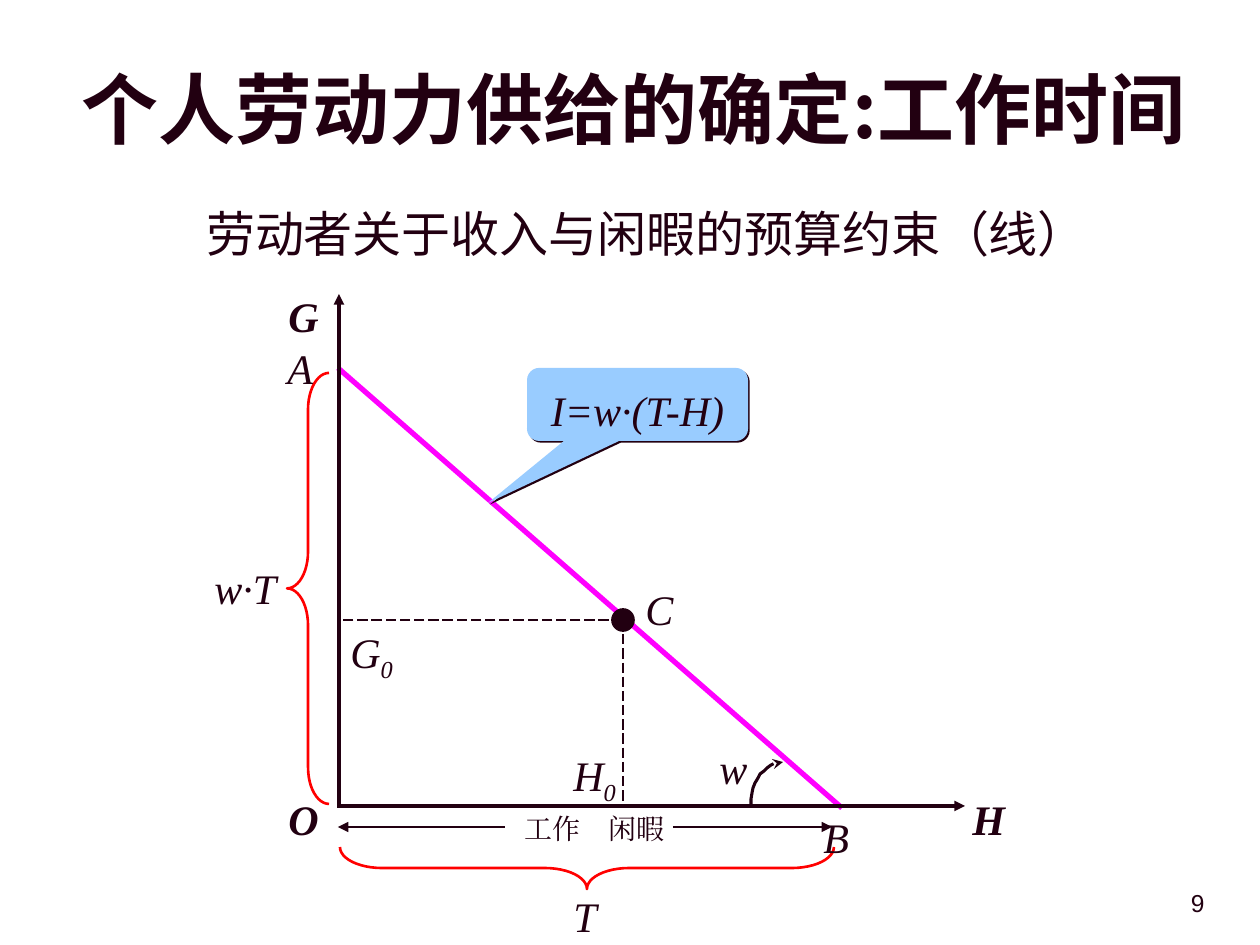
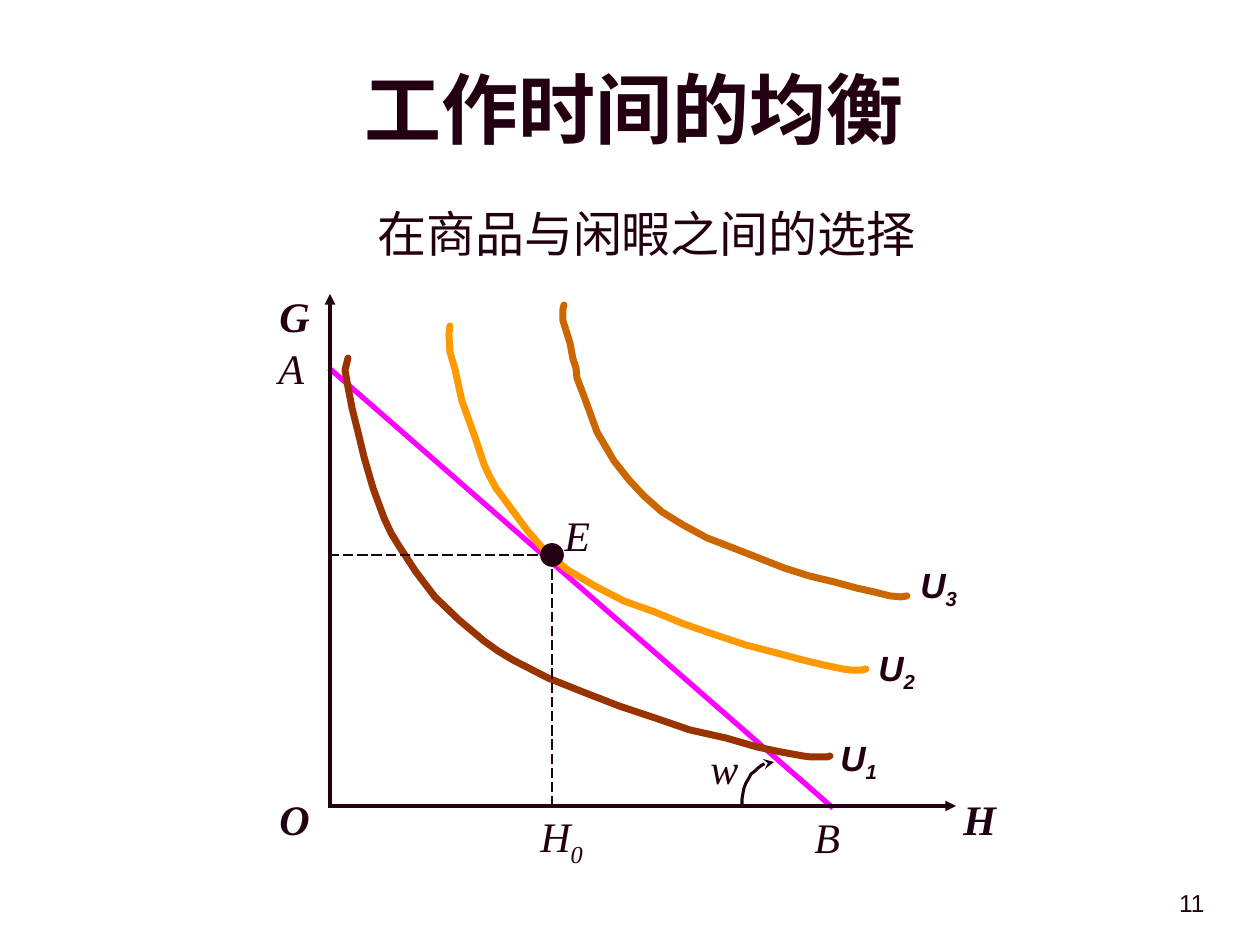
"""Build two slides on individual labour supply: budget line and equilibrium."""
import dataclasses
import math

import pptx
import pptx.dml.color
import pptx.enum.dml
import pptx.enum.shapes
import pptx.enum.text
import pptx.oxml
import pptx.oxml.ns
import pptx.oxml.xmlchemy
import pptx.util

EMU_PER_PX = 914400 / 126
ALIGN = pptx.enum.text.PP_ALIGN
ANCHOR = pptx.enum.text.MSO_ANCHOR
AUTO_SIZE = pptx.enum.text.MSO_AUTO_SIZE
SHAPE = pptx.enum.shapes.MSO_SHAPE


@dataclasses.dataclass(frozen=True)
class Theme:
    ink: str = "220011"
    budget: str = "FF00FF"
    brace: str = "FF0000"
    callout: str = "99CCFF"
    utility: tuple = ("993300", "FF9900", "CC6600")
    heading_font: str = "Noto Sans CJK SC"
    symbol_font: str = "Times New Roman"
    plain_font: str = "Arial"
    title_size: int = 44
    subtitle_size: int = 28
    symbol_size: int = 24
    utility_size: int = 20
    caption_size: int = 16
    page_size: int = 14


UTILITY_CURVES = (
    [(348, 358), (345, 370), (348, 387), (352, 408), (358, 432), (364, 457), (373, 488),
     (384, 518), (391, 533), (399, 546), (416, 572), (435, 597), (459, 620), (484, 641),
     (498, 651), (513, 660), (548, 678), (583, 692), (619, 706), (655, 718), (690, 730),
     (726, 738), (757, 747), (781, 752), (803, 756), (811, 757), (827, 757), (830, 756)],
    [(450, 326), (449, 334), (450, 352), (455, 369), (462, 401), (475, 437), (484, 464),
     (489, 475), (496, 488), (527, 530), (546, 552), (568, 570), (595, 586), (624, 601),
     (655, 612), (684, 624), (716, 635), (746, 645), (777, 653), (803, 660), (824, 665),
     (843, 669), (851, 670), (862, 670), (866, 669)],
    [(564, 305), (563, 309), (563, 321), (570, 343), (573, 359), (576, 368), (577, 378),
     (585, 399), (597, 432), (614, 461), (629, 480), (644, 496), (662, 512), (683, 525),
     (707, 538), (733, 548), (784, 568), (809, 576), (834, 582), (856, 588), (874, 592),
     (890, 596), (901, 597), (907, 596)],
)
UTILITY_LABELS = ((828, 730), (866, 640), (908, 557))


def px(length):
    """Turn a length in px into EMU."""
    return pptx.util.Emu(round(length * EMU_PER_PX))


def rgb(color):
    """Turn a hex string into a colour."""
    return pptx.dml.color.RGBColor.from_string(color)


def add_element(parent, tag, **attributes):
    """Append an XML element with attributes and return it."""
    element = pptx.oxml.xmlchemy.OxmlElement(tag)
    for name, value in attributes.items():
        element.set(name, str(value))
    parent.append(element)
    return element


def write_text(frame, text, subscript="", *, font, size, color, bold=False, italic=False,
               align=ALIGN.LEFT, spacing=None):
    """Write one formatted paragraph, with an optional subscript, into a frame."""
    paragraph = frame.paragraphs[0]
    paragraph.alignment = align
    if spacing:
        paragraph.line_spacing = spacing
    for part in filter(None, (text, subscript)):
        run = paragraph.add_run()
        run.text = part
        run.font.size = pptx.util.Pt(size)
        run.font.bold = bold
        run.font.italic = italic
        run.font.color.rgb = rgb(color)
        run.font.name = font
        properties = run._r.get_or_add_rPr()
        add_element(properties, "a:ea", typeface=font)
        if part is subscript:
            properties.set("baseline", "-25000")
    return paragraph


class Deck:
    """Hold the theme and the current slide, and draw each kind of element."""

    def __init__(self, presentation, theme):
        self.presentation = presentation
        self.theme = theme
        self.slide = None

    def start_slide(self, title, subtitle, number):
        """Add a slide with its title, subtitle and page number."""
        theme = self.theme
        self.slide = self.presentation.slides.add_slide(self.presentation.slide_layouts[1])
        heading, body = self.slide.placeholders
        self.place(heading, 67, 40, 1134, 136)
        heading.text_frame.vertical_anchor = ANCHOR.MIDDLE
        write_text(heading.text_frame, title, font=theme.heading_font, size=theme.title_size,
                   color=theme.ink, bold=True, align=ALIGN.CENTER)
        self.place(body, 116, 197, 1029, 630)
        paragraph = write_text(body.text_frame, subtitle, font=theme.heading_font,
                               size=theme.subtitle_size, color=theme.ink, align=ALIGN.CENTER)
        paragraph.level = 1
        paragraph.space_before = pptx.util.Pt(0)
        properties = paragraph._p.get_or_add_pPr()
        properties.set("marL", str(px(98)))
        properties.set("indent", str(px(-66)))
        add_element(properties, "a:buNone")
        self.text(number, 955, 882, 262, 63, font=theme.plain_font, size=theme.page_size,
                  align=ALIGN.RIGHT)

    def place(self, shape, left, top, width, height):
        """Move a placeholder and keep its text size fixed."""
        shape.left, shape.top, shape.width, shape.height = map(px, (left, top, width, height))
        shape.text_frame.word_wrap = True
        shape.text_frame.auto_size = AUTO_SIZE.NONE

    def text(self, text, left, top, width, height, subscript="", wrap=True, **text_format):
        """Add a text box."""
        box = self.slide.shapes.add_textbox(*map(px, (left, top, width, height)))
        box.text_frame.word_wrap = wrap
        if not wrap:
            box.text_frame.auto_size = AUTO_SIZE.SHAPE_TO_FIT_TEXT
        write_text(box.text_frame, text, subscript, color=self.theme.ink, **text_format)

    def symbol(self, text, left, top, width=63, height=63, subscript="", wrap=True, **changes):
        """Add an italic variable name."""
        text_format = dict(font=self.theme.symbol_font, size=self.theme.symbol_size, italic=True)
        self.text(text, left, top, width, height, subscript, wrap, **(text_format | changes))

    def point_label(self, text, left, top, width=50):
        """Add the name of a point or a length."""
        self.symbol(text, left, top, width, 73, wrap=False, spacing=1.2)

    def outline(self, shape, color, width, dash=None, arrow=None, cap=None):
        """Set the line of a shape or connector."""
        shape.line.color.rgb = rgb(color)
        shape.line.width = pptx.util.Pt(width)
        if dash:
            shape.line.dash_style = dash
        line = shape._element.spPr.find(pptx.oxml.ns.qn("a:ln"))
        if cap:
            line.set("cap", cap)
        if arrow:
            add_element(line, "a:tailEnd", type=arrow)

    def line(self, start, end, width, color=None, dash=None, arrow=None):
        """Add a straight line, with an arrowhead at its end if asked."""
        connector = self.slide.shapes.add_connector(
            pptx.enum.shapes.MSO_CONNECTOR.STRAIGHT, *map(px, (*start, *end)))
        self.outline(connector, color or self.theme.ink, width, dash, arrow)
        add_element(connector._element.spPr, "a:effectLst")

    def guides(self, x, y, axis_x):
        """Add dashed lines from a point to both axes."""
        dash = pptx.enum.dml.MSO_LINE.LONG_DASH
        self.line((x, y), (x, 806), 0.75, dash=dash)
        self.line((x, y), (axis_x, y), 0.75, dash=dash)

    def curve(self, points, color, width, **line_format):
        """Add an open curve through points."""
        builder = self.slide.shapes.build_freeform(*points[0], scale=EMU_PER_PX)
        builder.add_line_segments(points[1:], close=False)
        shape = builder.convert_to_shape()
        shape.shadow.inherit = False
        shape.fill.background()
        self.outline(shape, color, width, **line_format)

    def shape(self, kind, left, top, width, height, fill=None, adjustments=()):
        """Add a preset shape without shadow or line."""
        shape = self.slide.shapes.add_shape(kind, *map(px, (left, top, width, height)))
        shape.shadow.inherit = False
        shape.line.fill.background()
        if fill:
            shape.fill.solid()
            shape.fill.fore_color.rgb = rgb(fill)
        else:
            shape.fill.background()
        for index, value in enumerate(adjustments):
            shape.adjustments[index] = value
        return shape

    def dot(self, x, y):
        """Add a round point centred at a place."""
        shape = self.shape(SHAPE.OVAL, x - 11, y - 11, 22, 22, self.theme.ink)
        self.outline(shape, self.theme.ink, 1)

    def brace(self, left, top, width, height, bend, rotation=0):
        """Add a curly brace."""
        shape = self.shape(SHAPE.LEFT_BRACE, left, top, width, height, adjustments=(bend, 0.5))
        shape.rotation = rotation
        self.outline(shape, self.theme.brace, 1.5)

    def callout(self, text, left, top, width, height, adjustments):
        """Add a rounded callout with a thin hard shadow."""
        theme = self.theme
        shape = self.shape(SHAPE.ROUNDED_RECTANGULAR_CALLOUT, left, top, width, height,
                           theme.callout, adjustments)
        effects = shape._element.spPr.find(pptx.oxml.ns.qn("a:effectLst"))
        shadow = add_element(effects, "a:outerShdw", dist=pptx.util.Pt(1.4), dir=45 * 60000,
                             algn="ctr", rotWithShape=0)
        add_element(shadow, "a:srgbClr", val=theme.ink)
        shape.text_frame.word_wrap = True
        shape.text_frame.vertical_anchor = ANCHOR.MIDDLE
        write_text(shape.text_frame, text, font=theme.symbol_font, size=theme.symbol_size,
                   color=theme.ink, italic=True, align=ALIGN.CENTER, spacing=1.2)

    def budget_plot(self, axis_x):
        """Draw the axes, the budget line AB and its slope w."""
        theme = self.theme
        self.line((axis_x - 1, 368), (axis_x + 503, 808), 3, theme.budget)
        self.point_label("A", axis_x - 64, 326)
        self.point_label("B", axis_x + 472, 795)
        angles = [math.pi / 2 * step / 12 for step in range(13)]
        arc = [(axis_x + 444 - 32 * math.cos(angle), 804 - 42 * math.sin(angle))
               for angle in angles]
        self.curve(arc, theme.ink, 1.75, arrow="stealth")
        self.point_label("w", axis_x + 368, 726, 53)
        self.line((axis_x, 808), (axis_x, 294), 2, arrow="triangle")
        self.line((axis_x - 1, 806), (axis_x + 626, 806), 2, arrow="triangle")
        for name, left, top in (("G", -63, 284), ("H", 621, 787), ("O", -63, 787)):
            self.symbol(name, axis_x + left, top, bold=True)


def draw_budget_slide(deck):
    """Draw the budget constraint between income and leisure."""
    theme = deck.theme
    deck.start_slide("个人劳动力供给的确定:工作时间", "劳动者关于收入与闲暇的预算约束（线）", "9")
    deck.brace(287, 373, 42, 431, 0.87)
    deck.point_label("w·T", 202, 546, 87)
    deck.brace(566, 621, 42, 494, 1, rotation=270)
    deck.point_label("T", 561, 874, 48)
    for caption, left, start, end in (("工作", 512, 505, 338), ("闲暇", 596, 673, 832)):
        deck.line((start, 827), (end, 827), 1.5, arrow="triangle")
        deck.text(caption, left, 799, 81, 53, wrap=False, font=theme.symbol_font,
                  size=theme.caption_size, spacing=1.2)
    deck.budget_plot(339)
    deck.callout("I=w·(T-H)", 527, 368, 221, 73, (-0.676, 1.348, 0.167))
    deck.guides(623, 620, 338)
    deck.dot(623, 620)
    deck.point_label("C", 633, 567, 53)
    deck.symbol("H", 561, 743, 73, 69, subscript="0")
    deck.symbol("G", 338, 620, 73, 69, subscript="0")


def draw_equilibrium_slide(deck):
    """Draw the indifference curves and the equilibrium of working time."""
    theme = deck.theme
    deck.start_slide("工作时间的均衡", "在商品与闲暇之间的选择", "11")
    deck.budget_plot(330)
    curves = zip(UTILITY_CURVES, theme.utility, UTILITY_LABELS)
    for number, (points, color, corner) in enumerate(curves, 1):
        deck.curve(points, color, 4, cap="rnd")
        deck.symbol("U", *corner, 62, 60, subscript=str(number), wrap=False,
                    font=theme.plain_font, size=theme.utility_size, bold=True)
    deck.symbol("E", 552, 493, 63, 73, spacing=1.2)
    deck.guides(552, 555, 329)
    deck.symbol("H", 528, 793, 76, 82, subscript="0", spacing=1.2)
    deck.dot(552, 555)


def main():
    """Build and save the presentation."""
    presentation = pptx.Presentation()
    presentation.slide_width = px(1260)
    presentation.slide_height = px(945)
    deck = Deck(presentation, Theme())
    draw_budget_slide(deck)
    draw_equilibrium_slide(deck)
    presentation.save("out.pptx")


if __name__ == "__main__":
    main()
